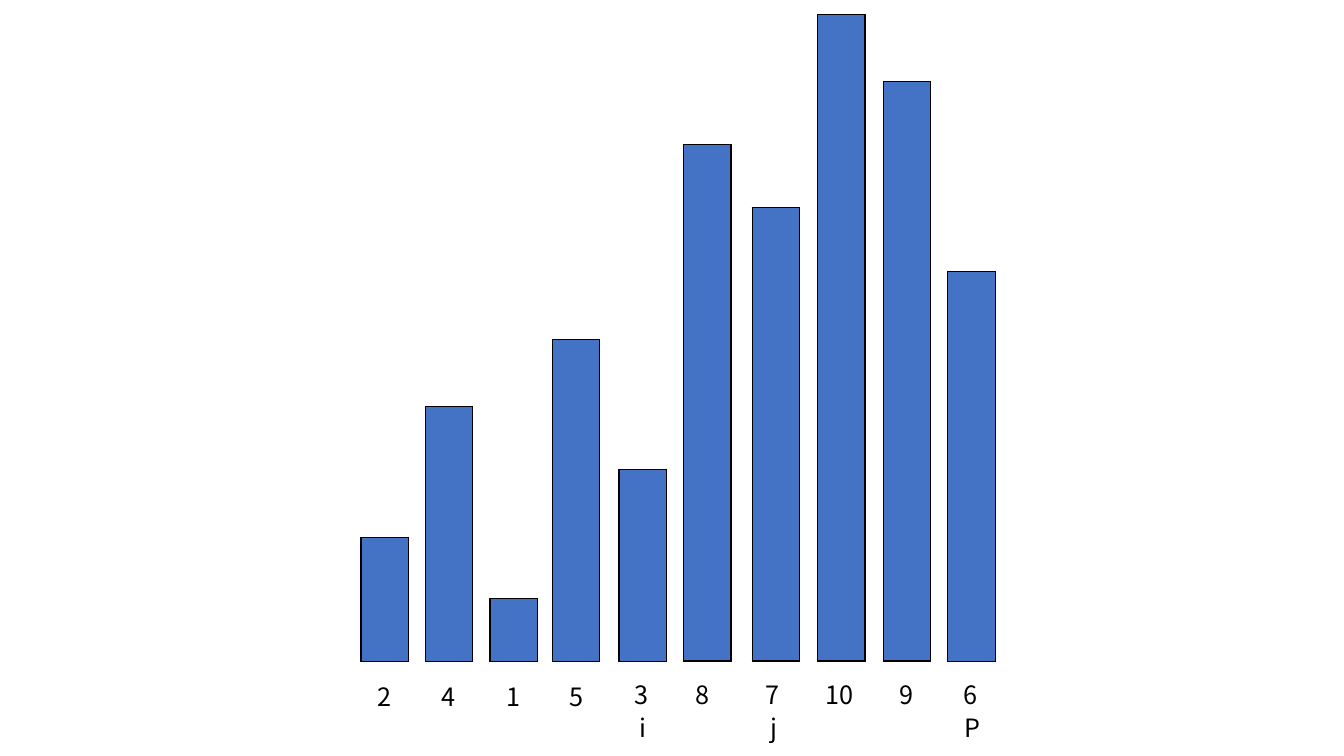
from pptx import Presentation
from pptx.dml.color import RGBColor
from pptx.enum.text import MSO_AUTO_SIZE
from pptx.oxml.ns import qn
from pptx.util import Inches, Pt
from lxml import etree

FIT_SHAPE = MSO_AUTO_SIZE.SHAPE_TO_FIT_TEXT
FONT = "Noto Sans CJK KR"
BLACK, BLUE = "000000", "4472C4"
BASELINE, BAR_WIDTH = 6.56, 0.47

# value, bar left, bar height, label left, label top
BARS = [
    (2, 3.58, 1.23, 3.65, 6.71),
    (4, 4.22, 2.53, 4.28, 6.71),
    (1, 4.86, 0.62, 4.93, 6.71),
    (5, 5.48, 3.19, 5.55, 6.71),
    (3, 6.14, 1.9, 6.19, 6.69),
    (8, 6.78, 5.13, 6.8, 6.69),
    (7, 7.46, 4.5, 7.49, 6.69),
    (10, 8.11, 6.42, 8.09, 6.69),
    (9, 8.76, 5.75, 8.82, 6.69),
    (6, 9.4, 3.87, 9.46, 6.69),
]
POINTERS = [("i", 6.24, 0.26), ("j", 7.54, 0.26), ("P", 9.47, 0.35)]


def color(value):
    """Turn a hex string into a colour."""
    return RGBColor.from_string(value)


class SortingSlide:
    """Hold the style and the current slide, and draw its elements."""

    def __init__(self, page):
        """Keep the page to draw on."""
        self.page = page

    def label(self, text, left, top, width, wrap=True):
        """Add a one-line label."""
        box = self.page.shapes.add_textbox(Inches(left), Inches(top), Inches(width), Inches(0.4))
        frame = box.text_frame
        frame.word_wrap = wrap
        frame.auto_size = FIT_SHAPE
        frame.text = text
        font = frame.paragraphs[0].runs[0].font
        font.name, font.size = FONT, Pt(18)
        font.color.rgb = color(BLACK)

    def border(self, cell, side, visible):
        """Draw or hide one side of a cell."""
        properties = cell._tc.get_or_add_tcPr()
        line = etree.SubElement(properties, qn(f"a:ln{side}"), w=str(Pt(1)))
        if visible:
            fill = etree.SubElement(line, qn("a:solidFill"))
            etree.SubElement(fill, qn("a:srgbClr"), val=BLACK)
        else:
            etree.SubElement(line, qn("a:noFill"))

    def bar(self, value, left, height):
        """Add a table with one row per unit, outlined as a single bar."""
        table = self.page.shapes.add_table(
            value, 1, Inches(left), Inches(BASELINE - height), Inches(BAR_WIDTH), Inches(height)
        ).table
        table.first_row = table.horz_banding = False
        for row in range(value):
            cell = table.cell(row, 0)
            sides = {"L": True, "R": True, "T": row == 0, "B": row == value - 1}
            for side, visible in sides.items():
                self.border(cell, side, visible)
            cell.fill.solid()
            cell.fill.fore_color.rgb = color(BLUE)


deck = Presentation()
deck.slide_width, deck.slide_height = Inches(13.33), Inches(7.5)
slide = SortingSlide(deck.slides.add_slide(deck.slide_layouts[6]))

for value, bar_left, height, label_left, label_top in BARS:
    slide.bar(value, bar_left, height)
    slide.label(str(value), label_left, label_top, 0.56 if value > 9 else 0.34)
for name, left, width in POINTERS:
    slide.label(name, left, 7.02, width, wrap=False)

deck.save("out.pptx")
